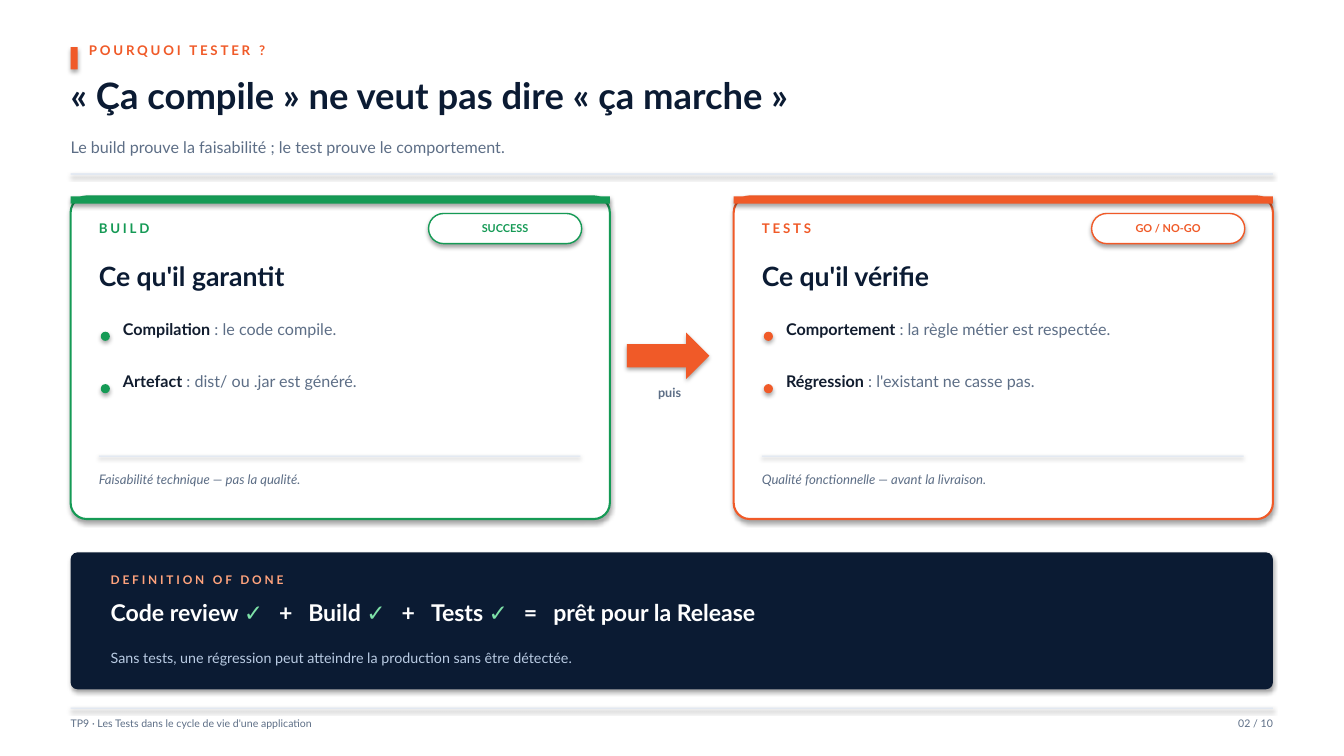
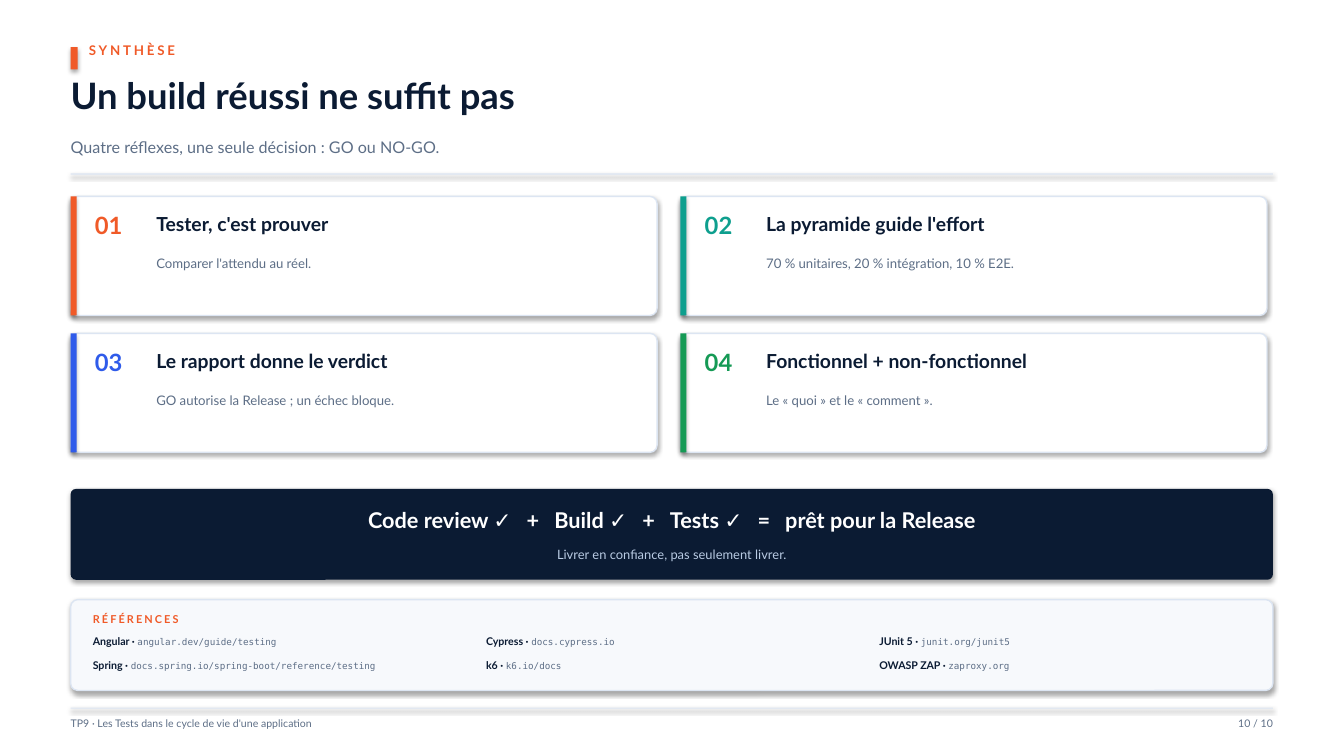
from itertools import product

from pptx import Presentation
from pptx.dml.color import RGBColor
from pptx.enum.shapes import MSO_SHAPE
from pptx.enum.text import MSO_ANCHOR, MSO_AUTO_SIZE, PP_ALIGN
from pptx.util import Cm, Pt

ORANGE, GREEN, TEAL, BLUE = "F05A28", "159A55", "0E9F8E", "2F5BEA"
NAVY, INK, SLATE, WHITE = "0B1B33", "111C2E", "5D6E86", "FFFFFF"
RULE, PALE, PEACH, MINT, MIST = "DCE5F2", "F7F9FC", "FFA37D", "7EE2A8", "B9CBE3"
SANS, MONO = "Lato", "DejaVu Sans Mono"

LEFT, WIDTH = 1.78, 30.3
CONTENT_TOP = 4.95
CM_PER_POINT = 2.54 / 72
FOOTER = "TP9 · Les Tests dans le cycle de vie d'une application"


def color(value):
    return RGBColor.from_string(value)


def write(frame, content, align=PP_ALIGN.LEFT, line_spacing=None, **style):
    """Fill a text frame from a string or a list of (text, style changes)."""
    frame.margin_left = frame.margin_right = 0
    frame.margin_top = frame.margin_bottom = 0
    frame.word_wrap = True
    paragraph = frame.paragraphs[0]
    paragraph.alignment = align
    if line_spacing:
        paragraph.line_spacing = line_spacing
    pieces = [(content, {})] if isinstance(content, str) else content
    for piece, changes in pieces:
        add_run(paragraph, piece, **{**style, **changes})


def add_run(paragraph, text, size, ink=SLATE, bold=False, italic=False,
            font=SANS, spacing=0):
    run = paragraph.add_run()
    run.text = text
    run.font.name = font
    run.font.size = Pt(size)
    run.font.bold = bold
    run.font.italic = italic
    run.font.color.rgb = color(ink)
    if spacing:
        run.font._element.set("spc", str(round(spacing * 100)))


def release_formula(size, check_ink):
    """Runs of the release equation; widened spaces surround the operators."""
    gap = (" ", {"spacing": round(size * 0.45, 1)})
    runs = []
    for step, operator in (("Code review", "+"), ("Build", "+"), ("Tests", "=")):
        runs += [(f"{step} ", {}), ("✓", {"ink": check_ink}),
                 gap, (operator, {}), gap]
    return runs + [("prêt pour la Release", {})]


class Deck:
    def __init__(self):
        self.presentation = Presentation()
        self.presentation.slide_width = Cm(33.87)
        self.presentation.slide_height = Cm(19.05)
        self.slide = None

    def text(self, content, left, top, width, size, **style):
        box = self.slide.shapes.add_textbox(
            Cm(left), Cm(top), Cm(width), Cm(size * 1.2 * CM_PER_POINT))
        write(box.text_frame, content, size=size, **style)
        box.text_frame.auto_size = MSO_AUTO_SIZE.SHAPE_TO_FIT_TEXT

    def shape(self, left, top, width, height, fill, kind=MSO_SHAPE.RECTANGLE,
              line=None, line_width=1):
        """Add a filled shape, which keeps the soft shadow of the theme."""
        shape = self.slide.shapes.add_shape(
            kind, Cm(left), Cm(top), Cm(width), Cm(height))
        shape.fill.solid()
        shape.fill.fore_color.rgb = color(fill)
        if line:
            shape.line.color.rgb = color(line)
            shape.line.width = Pt(line_width)
        else:
            shape.line.fill.background()
        return shape

    def rounded(self, left, top, width, height, fill, radius, **outline):
        shape = self.shape(left, top, width, height, fill,
                           MSO_SHAPE.ROUNDED_RECTANGLE, **outline)
        shape.adjustments[0] = radius
        return shape

    def rule(self, left, top, width):
        self.shape(left, top, width, 0.03, RULE)

    def label(self, content, left, top, width, ink, size=9.5, spacing=2):
        self.text(content, left, top, width, size, ink=ink, bold=True,
                  spacing=spacing)

    def pill(self, content, left, top, ink):
        shape = self.rounded(left, top, 3.86, 0.76, WHITE, 0.5, line=ink)
        write(shape.text_frame, content, align=PP_ALIGN.CENTER, size=7.8,
              ink=ink, bold=True)
        shape.text_frame.vertical_anchor = MSO_ANCHOR.MIDDLE

    def start_slide(self, kicker, title, subtitle, number):
        self.slide = self.presentation.slides.add_slide(
            self.presentation.slide_layouts[6])
        self.shape(LEFT, 1.19, 0.18, 0.56, ORANGE)
        self.label(kicker, 2.24, 1.07, 24.13, ORANGE)
        self.text(title, LEFT, 1.83, WIDTH, 26, ink=NAVY, bold=True)
        self.text(subtitle, LEFT, 3.45, WIDTH, 11.5)
        self.rule(LEFT, 4.37, WIDTH)
        self.rule(LEFT, 17.83, WIDTH)
        self.text(FOOTER, LEFT, 18.06, 20.32, 7.5)
        self.text(f"{number:02} / 10", LEFT + WIDTH - 3.05, 18.06, 3.05, 7.5,
                  align=PP_ALIGN.RIGHT)

    def panel(self, left, accent, label, status, heading, points, note):
        width, inner = 13.59, left + 0.71
        self.rounded(left, CONTENT_TOP, width, 8.13, WHITE, 0.05,
                     line=accent, line_width=1.5)
        self.shape(left, CONTENT_TOP, width, 0.18, accent)
        self.label(label, inner, 5.54, 5.59, accent)
        self.pill(status, left + 9.02, 5.38, accent)
        self.text(heading, inner, 6.55, 12.19, 19, ink=NAVY, bold=True)
        for index, (term, meaning) in enumerate(points):
            top = 8.05 + index * 1.32
            self.rounded(left + 0.76, top + 0.31, 0.23, 0.23, accent, 0.5)
            self.text([(term, {"ink": INK, "bold": True}), (f" : {meaning}", {})],
                      left + 1.32, top, 11.43, 11.5)
        self.rule(inner, 11.48, 12.14)
        self.text(note, inner, 11.89, 12.19, 9.4, italic=True)

    def card(self, left, top, number, accent, title, body):
        height = 3
        self.rounded(left, top, 14.78, height, WHITE, 0.06, line=RULE)
        self.shape(left, top, 0.15, height, accent)
        self.text(f"{number:02}", left + 0.61, top + 0.36, 1.52, 17,
                  ink=accent, bold=True)
        self.text(title, left + 2.16, top + 0.41, 11.94, 13.8, ink=NAVY, bold=True)
        self.text(body, left + 2.16, top + 1.47, 11.94, 9.4, line_spacing=1.05)


def build_reasons(deck):
    deck.start_slide(
        "POURQUOI TESTER ?", "« Ça compile » ne veut pas dire « ça marche »",
        "Le build prouve la faisabilité ; le test prouve le comportement.", 2)
    deck.panel(LEFT, GREEN, "BUILD", "SUCCESS", "Ce qu'il garantit",
               [("Compilation", "le code compile."),
                ("Artefact", "dist/ ou .jar est généré.")],
               "Faisabilité technique — pas la qualité.")
    deck.panel(18.49, ORANGE, "TESTS", "GO / NO-GO", "Ce qu'il vérifie",
               [("Comportement", "la règle métier est respectée."),
                ("Régression", "l'existant ne casse pas.")],
               "Qualité fonctionnelle — avant la livraison.")
    deck.shape(15.8, 8.38, 2.08, 1.17, ORANGE, MSO_SHAPE.RIGHT_ARROW)
    deck.text("puis", 15.54, 9.7, 2.67, 9, bold=True, align=PP_ALIGN.CENTER)

    deck.rounded(LEFT, 13.92, WIDTH, 3.45, NAVY, 0.05)
    inner = 2.79
    deck.label("DEFINITION OF DONE", inner, 14.43, 24.13, PEACH, size=8.5)
    deck.text(release_formula(16.5, MINT), inner, 15.09, 28.45, 16.5,
              ink=WHITE, bold=True)
    deck.text("Sans tests, une régression peut atteindre la production "
              "sans être détectée.", inner, 16.36, 27.94, 10.2, ink=MIST)


def build_summary(deck):
    deck.start_slide("SYNTHÈSE", "Un build réussi ne suffit pas",
                     "Quatre réflexes, une seule décision : GO ou NO-GO.", 10)
    cards = [
        (ORANGE, "Tester, c'est prouver", "Comparer l'attendu au réel."),
        (TEAL, "La pyramide guide l'effort",
         "70 % unitaires, 20 % intégration, 10 % E2E."),
        (BLUE, "Le rapport donne le verdict",
         "GO autorise la Release ; un échec bloque."),
        (GREEN, "Fonctionnel + non-fonctionnel", "Le « quoi » et le « comment »."),
    ]
    for number, ((row, column), card) in enumerate(
            zip(product(range(2), repeat=2), cards), start=1):
        deck.card(LEFT + column * 15.37, CONTENT_TOP + row * 3.45, number, *card)

    deck.rounded(LEFT, 12.32, WIDTH, 2.29, NAVY, 0.06)
    deck.text(release_formula(15.5, WHITE), LEFT, 12.78, WIDTH, 15.5,
              ink=WHITE, bold=True, align=PP_ALIGN.CENTER)
    deck.text("Livrer en confiance, pas seulement livrer.", LEFT, 13.77, WIDTH,
              9.2, ink=MIST, align=PP_ALIGN.CENTER)

    deck.rounded(LEFT, 15.11, WIDTH, 2.29, PALE, 0.08, line=RULE)
    inner = 2.34
    deck.label("RÉFÉRENCES", inner, 15.44, 6.35, ORANGE, size=7.8, spacing=1.5)
    references = [
        ("Angular", "angular.dev/guide/testing"),
        ("Cypress", "docs.cypress.io"),
        ("JUnit 5", "junit.org/junit5"),
        ("Spring", "docs.spring.io/spring-boot/reference/testing"),
        ("k6", "k6.io/docs"),
        ("OWASP ZAP", "zaproxy.org"),
    ]
    for index, (tool, address) in enumerate(references):
        row, column = divmod(index, 3)
        deck.text([(f"{tool} · ", {"ink": NAVY, "bold": True}),
                   (address, {"size": 6.6, "font": MONO})],
                  inner + column * 9.91, 16 + row * 0.61, 9.53, 7.6)


def main():
    deck = Deck()
    build_reasons(deck)
    build_summary(deck)
    deck.presentation.save("out.pptx")


if __name__ == "__main__":
    main()
